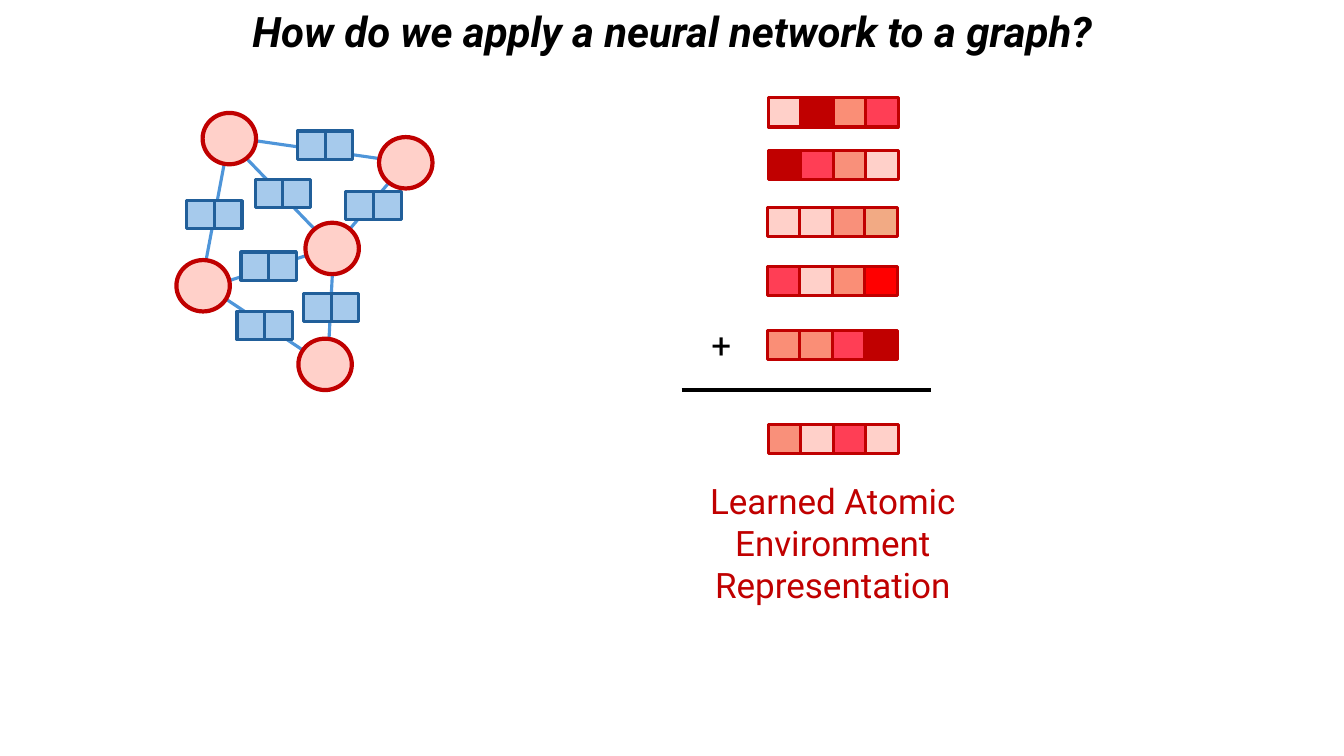
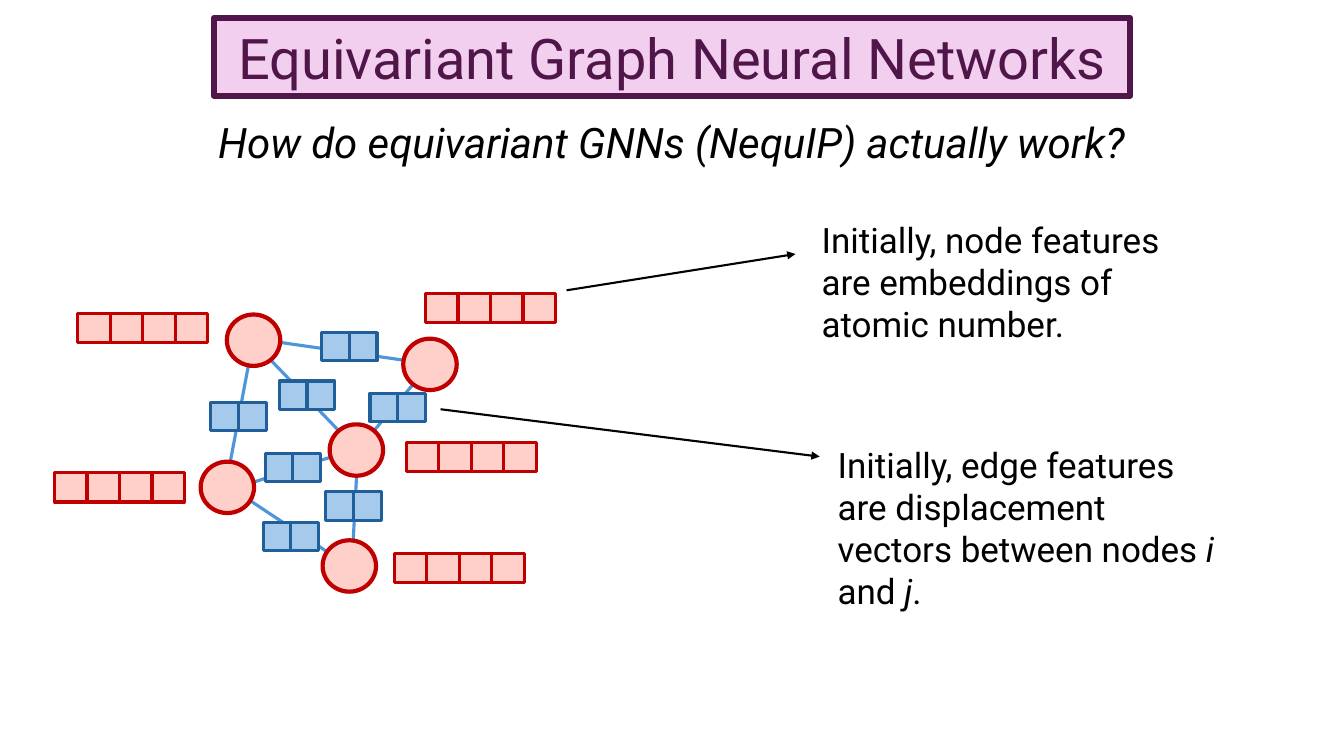
from lxml.etree import SubElement
from pptx import Presentation
from pptx.dml.color import RGBColor
from pptx.enum.shapes import MSO_CONNECTOR as Connector, MSO_SHAPE as Preset
from pptx.enum.text import MSO_ANCHOR as Anchor, PP_ALIGN as Align
from pptx.oxml.ns import qn
from pptx.util import Pt

EMU_PER_PX = 9144
BLANK_LAYOUT = 6

BLACK = RGBColor(0x00, 0x00, 0x00)
CRIMSON = RGBColor(0xC0, 0x00, 0x00)
RED = RGBColor(0xFF, 0x00, 0x00)
ROSE = RGBColor(0xFF, 0x3E, 0x55)
CORAL = RGBColor(0xFA, 0x8E, 0x76)
SALMON = RGBColor(0xF9, 0x90, 0x7A)
SAND = RGBColor(0xF2, 0xAA, 0x84)
BLUSH = RGBColor(0xFF, 0xD0, 0xC9)
EDGE_LINE = RGBColor(0x4E, 0x95, 0xD9)
EDGE_FILL = RGBColor(0xA6, 0xCA, 0xEC)
EDGE_BORDER = RGBColor(0x21, 0x5F, 0x9A)
BANNER_FILL = RGBColor(0xF2, 0xCF, 0xEE)
PLUM = RGBColor(0x50, 0x16, 0x49)

NODES = [(201, 112), (376, 136), (175, 258), (296, 336), (303, 221)]
EDGES = [
    (228, 136, 402, 161),
    (226, 138, 330, 246),
    (227, 138, 199, 287),
    (201, 287, 330, 245),
    (332, 245, 402, 162),
    (325, 362, 331, 246),
    (324, 363, 202, 282),
]
EDGE_FEATURES = [(295, 130), (185, 199), (253, 178), (343, 190), (239, 250)]


def px(length):
    return round(length * EMU_PER_PX)


class Deck:
    font = "Roboto"
    title_size = 30
    body_size = 25

    def __init__(self, width, height):
        self.presentation = Presentation()
        self.presentation.slide_width = px(width)
        self.presentation.slide_height = px(height)
        self.slide = None

    def new_slide(self):
        layout = self.presentation.slide_layouts[BLANK_LAYOUT]
        self.slide = self.presentation.slides.add_slide(layout)

    def set_text(self, shape, segments, size, color, align, bold=None, italic=None):
        frame = shape.text_frame
        frame.word_wrap = True
        paragraph = frame.paragraphs[0]
        paragraph.alignment = align
        paragraph.font.name = self.font
        paragraph.font.size = Pt(size)
        paragraph.font.color.rgb = color
        paragraph.font.bold = bold
        paragraph.font.italic = italic
        for index, segment in enumerate(segments):
            run = paragraph.add_run()
            run.text = segment
            if index % 2:
                run.font.italic = True

    def text(self, box, *segments, size=body_size, color=BLACK, align=Align.LEFT, **style):
        shape = self.slide.shapes.add_textbox(*map(px, box))
        self.set_text(shape, segments, size, color, align, **style)

    def question(self, box, wording, bold=None):
        self.text(box, wording, size=self.title_size, align=Align.CENTER, bold=bold, italic=True)

    def shape(self, preset, box, fill, border, weight, shapes=None):
        shape = (shapes or self.slide.shapes).add_shape(preset, *map(px, box))
        shape.shadow.inherit = False
        shape.fill.solid()
        shape.fill.fore_color.rgb = fill
        shape.line.color.rgb = border
        shape.line.width = Pt(weight)
        return shape

    def banner(self, box, wording):
        shape = self.shape(Preset.RECTANGLE, box, BANNER_FILL, PLUM, 4.5)
        shape.text_frame.vertical_anchor = Anchor.MIDDLE
        self.set_text(shape, [wording], 40, PLUM, Align.CENTER)

    def line(self, ends, color, weight, arrow=False):
        connector = self.slide.shapes.add_connector(Connector.STRAIGHT, *map(px, ends))
        connector.line.color.rgb = color
        connector.line.width = Pt(weight)
        properties = connector.element.spPr
        if arrow:
            SubElement(properties.find(qn("a:ln")), qn("a:tailEnd"), type="triangle")
        SubElement(properties, qn("a:effectLst"))

    def strip(self, left, top, width, height, fills, border):
        group = self.slide.shapes.add_group_shape()
        cell = width / len(fills)
        for index, fill in enumerate(fills):
            box = (left + index * cell, top, cell, height)
            self.shape(Preset.RECTANGLE, box, fill, border, 2.25, group.shapes)

    def node_vector(self, left, top, fills=(BLUSH,) * 4):
        self.strip(left, top, 129, 29, fills, CRIMSON)

    def graph(self, dx, dy, lower_features):
        for x1, y1, x2, y2 in EDGES:
            self.line((x1 + dx, y1 + dy, x2 + dx, y2 + dy), EDGE_LINE, 2.25)
        for left, top in EDGE_FEATURES + lower_features:
            self.strip(left + dx, top + dy, 55, 28, (EDGE_FILL,) * 2, EDGE_BORDER)
        for left, top in NODES:
            self.shape(Preset.OVAL, (left + dx, top + dy, 53, 51), BLUSH, CRIMSON, 3)


def build_sum_slide(deck):
    deck.new_slide()
    deck.question((176, 1, 982, 61), "How do we apply a neural network to a graph?", bold=True)
    deck.graph(0, 0, [(301, 291), (235, 309)])
    vectors = [
        (762, 97, (BLUSH, CRIMSON, CORAL, ROSE)),
        (762, 149, (CRIMSON, ROSE, SALMON, BLUSH)),
        (761, 206, (BLUSH, BLUSH, SALMON, SAND)),
        (761, 264, (ROSE, BLUSH, CORAL, RED)),
        (761, 328, (CORAL, CORAL, ROSE, CRIMSON)),
        (762, 421, (SALMON, BLUSH, ROSE, BLUSH)),
    ]
    for vector in vectors:
        deck.node_vector(*vector)
    deck.text((689, 316, 53, 52), "+", align=Align.CENTER)
    deck.line((676, 387, 923, 387), BLACK, 3)
    deck.text(
        (671, 471, 310, 136),
        "Learned Atomic Environment Representation",
        color=CRIMSON,
        align=Align.CENTER,
    )


def build_equivariant_slide(deck):
    deck.new_slide()
    deck.banner((212, 18, 909, 77), "Equivariant Graph Neural Networks")
    deck.question((102, 111, 1129, 61), "How do equivariant GNNs (NequIP) actually work?")
    deck.graph(24, 200, [(299, 288), (237, 318)])
    for left, top in [(54, 469), (77, 311), (422, 291), (403, 439), (391, 549)]:
        deck.node_vector(left, top)
    deck.line((562, 288, 789, 252), BLACK, 1.5, arrow=True)
    deck.text(
        (805, 212, 364, 136),
        "Initially, node features are embeddings of atomic number.",
    )
    deck.line((437, 406, 813, 453), BLACK, 1.5, arrow=True)
    deck.text(
        (821, 435, 395, 178),
        "Initially, edge features are displacement vectors between nodes ",
        "i",
        " and ",
        "j",
        ".",
    )


def main():
    deck = Deck(1333, 750)
    build_sum_slide(deck)
    build_equivariant_slide(deck)
    deck.presentation.save("out.pptx")


if __name__ == "__main__":
    main()
